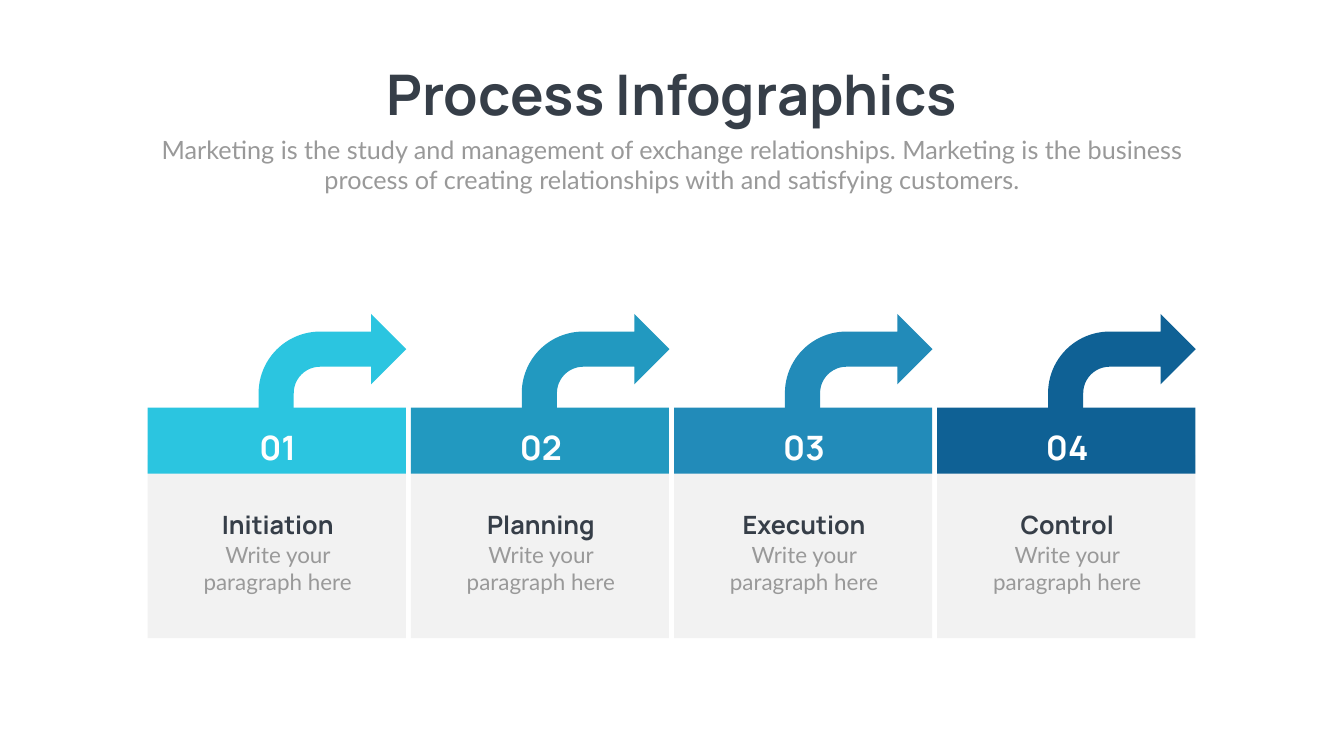
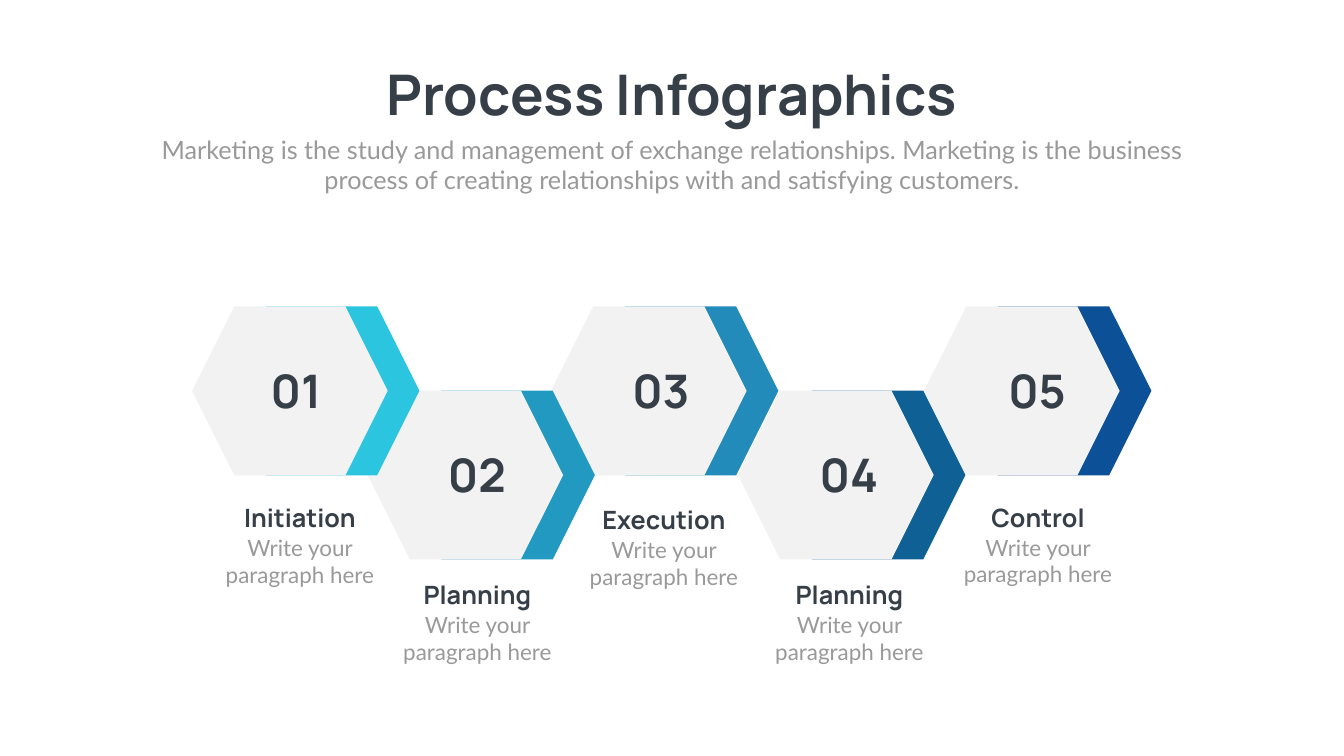
from pptx import Presentation
from pptx import util as u
from pptx.dml.color import RGBColor
from pptx.enum import shapes, text

Inches = u.Inches
MSO = shapes.MSO_SHAPE

DARK, GREY, PANEL, WHITE = "363E48", "999999", "F2F2F2", "FFFFFF"
STEP_COLORS = ["2BC5E0", "2299C0", "228BB9", "0F6195", "0C5198"]
HEAD_FONT, BODY_FONT = "Manrope", "Lato"
TITLE = "Process Infographics"
INTRO = ("Marketing is the study and management of exchange relationships. "
         "Marketing is the business process of creating relationships with "
         "and satisfying customers.")
DETAIL = "Write your paragraph here"


def rgb(value):
    return RGBColor.from_string(value)


class Deck:
    def __init__(self):
        self.prs = Presentation()
        self.prs.slide_width = Inches(26.66)
        self.prs.slide_height = Inches(15)
        self.s = None

    def new_slide(self):
        self.s = self.prs.slides.add_slide(self.prs.slide_layouts[0])
        self.s.background.fill.solid()
        self.s.background.fill.fore_color.rgb = rgb(WHITE)
        title, intro = self.s.placeholders
        self.place(title, 7.17, 1.14, 12.32, 1.45)
        self.set_text(title, TITLE, 80, DARK, bold=True)
        self.place(intro, 2.92, 2.61, 20.82, 1.31)
        self.set_text(intro, INTRO, 36, GREY)

    def place(self, sp, x, y, w, h):
        sp.left, sp.top, sp.width, sp.height = map(Inches, (x, y, w, h))

    def set_text(self, sp, content, size, color, bold=False):
        tf = sp.text_frame
        tf.text = content
        tf.word_wrap = True
        tf.auto_size = text.MSO_AUTO_SIZE.SHAPE_TO_FIT_TEXT
        tf.vertical_anchor = text.MSO_ANCHOR.TOP
        p = tf.paragraphs[0]
        p.alignment = text.PP_ALIGN.CENTER
        p.space_before = u.Pt(0)
        r = p.runs[0]
        r.font.name = HEAD_FONT if bold else BODY_FONT
        r.font.size = u.Pt(size)
        r.font.bold = bold
        r.font.color.rgb = rgb(color)

    def label(self, content, center, y, w, h, size, color, bold=False):
        sp = self.s.shapes.add_textbox(
            Inches(center - w / 2), Inches(y), Inches(w), Inches(h))
        self.set_text(sp, content, size, color, bold)

    def number(self, n, center, y, h, size, color):
        self.label(f"{n:02d}", center, y, 1.88, h, size, color, bold=True)

    def caption(self, heading, center, y):
        self.label(heading, center, y, 2.67, 0.71, 36, DARK, bold=True)
        self.label(DETAIL, center, y + 0.63, 3.8, 1.18, 32, GREY)

    def shape(self, kind, x, y, w, h, color, rotation=0):
        sp = self.s.shapes.add_shape(
            kind, Inches(x), Inches(y), Inches(w), Inches(h))
        sp.rotation = rotation
        sp.shadow.inherit = False
        sp.fill.solid()
        sp.fill.fore_color.rgb = rgb(color)
        sp.line.fill.background()

    def hexagon(self, x, y, color):
        self.shape(MSO.HEXAGON, x, y, 3.88, 3.35, color, rotation=180)


def arrow_cards(deck):
    deck.new_slide()
    card_w, gap = 5.12, 0.1
    headings = ["Initiation", "Planning", "Execution", "Control"]
    for i, (heading, color) in enumerate(zip(headings, STEP_COLORS)):
        x = 2.93 + i * (card_w + gap)
        center = x + 2.58
        deck.shape(MSO.RECTANGLE, x, 9.03, card_w, 3.63, PANEL)
        deck.shape(MSO.BENT_ARROW, x + 2.2, 6.23, 2.93, 2.79, color)
        deck.shape(MSO.RECTANGLE, x, 8.09, card_w, 1.31, color)
        deck.caption(heading, center, 10.05)
        deck.number(i + 1, center, 8.42, 0.91, 48, WHITE)


def hexagon_chain(deck):
    deck.new_slide()
    row_tops = [6.08, 7.75]
    lefts = [3.81, 7.29, 10.93, 14.64, 18.33]
    number_centers = [5.87, 9.46, 13.11, 16.84, 20.57]
    captions = [("Initiation", 5.95, 9.92), ("Planning", 9.47, 11.45),
                ("Execution", 13.17, 9.96), ("Planning", 16.85, 11.45),
                ("Control", 20.59, 9.91)]
    for i in reversed(range(len(lefts))):
        y = row_tops[i % 2]
        deck.hexagon(lefts[i] + 0.63, y, STEP_COLORS[i])
        deck.hexagon(lefts[i], y, PANEL)
    for i, center in enumerate(number_centers):
        deck.number(i + 1, center, row_tops[i % 2] + 1.06, 1.21, 66, DARK)
    for heading, center, y in captions:
        deck.caption(heading, center, y)


def main():
    deck = Deck()
    arrow_cards(deck)
    hexagon_chain(deck)
    deck.prs.save("out.pptx")


if __name__ == "__main__":
    main()
